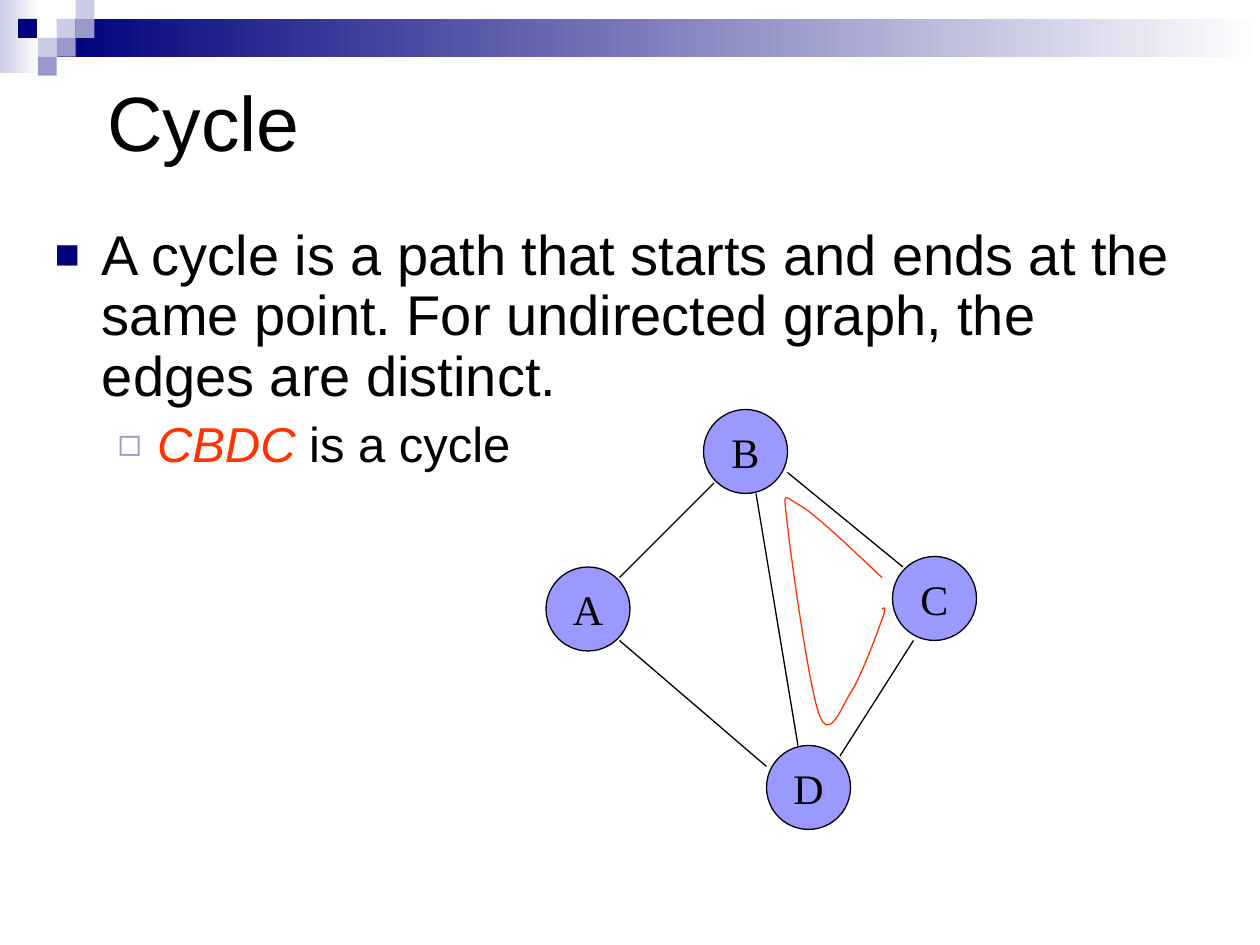
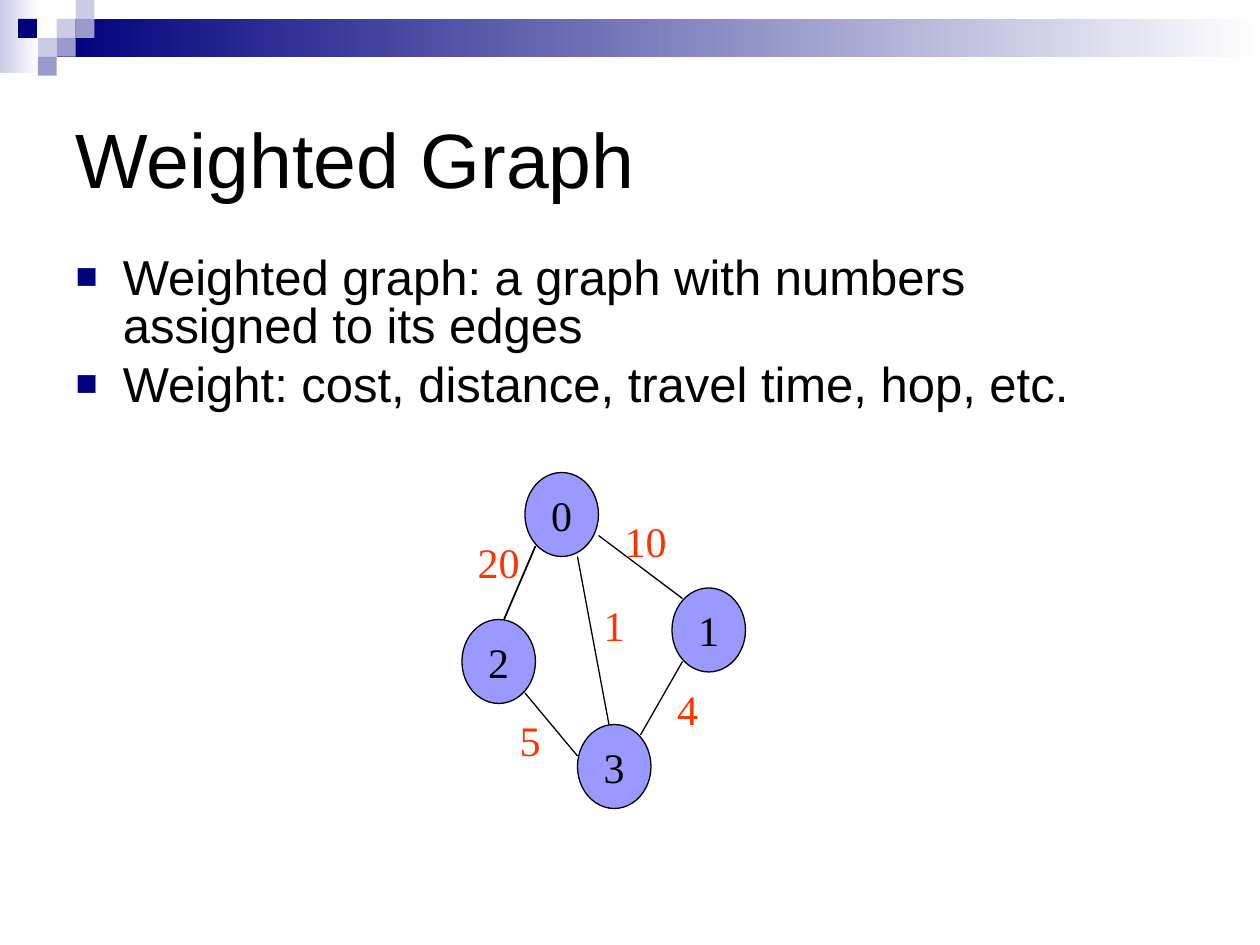
from lxml.etree import SubElement
from pptx import Presentation
from pptx.dml.color import RGBColor
from pptx.enum.shapes import MSO_CONNECTOR, MSO_SHAPE
from pptx.enum.text import MSO_ANCHOR, MSO_AUTO_SIZE, PP_ALIGN
from pptx.oxml.ns import qn
from pptx.util import Pt

COLORS = {
    "navy": "00007D",
    "medium": "9999CC",
    "light": "CCCCE6",
    "white": "FFFFFF",
    "black": "000000",
    "node": "9999FF",
    "accent": "FF3300",
}
RGB = {name: RGBColor.from_string(value) for name, value in COLORS.items()}
HEADING_FONT = "Arial"
GRAPH_FONT = "Times New Roman"

# Bullet per list level: character, colour, size in percent, left indent, hanging
BULLETS = [("■", "navy", 75, 27, 27), ("◻", "medium", 80, 58.5, 22.5)]

# Paragraphs: level, size, line spacing, space before, runs of (text, highlighted)
# Nodes and weights: label, left, top; edges: x1, y1, x2, y2, line width
SLIDES = [
    {
        "title": "Cycle",
        "title_box": (54, 24, 612, 90),
        "body_box": (24, 126, 660, 192),
        "paragraphs": [
            (0, 32, 0.9, 8, [("A cycle is a path that starts and ends at the same point. "
                              "For undirected graph, the edges are distinct.", False)]),
            (1, 28, 0.9, 7, [("CBDC", True), (" is a cycle", False)]),
        ],
        "node_size": (48, 48),
        "nodes": [("B", 402, 234), ("C", 510, 318), ("D", 438, 426), ("A", 312, 324)],
        "edges": [
            (408, 276, 354, 330, 0.75),
            (354, 366, 438, 438, 0.75),
            (480, 432, 522, 366, 0.75),
            (432, 282, 456, 426, 0.75),
            (450, 270, 516, 324, 0.75),
        ],
        "weights": [],
    },
    {
        "title": "Weighted Graph",
        "title_box": (36, 36, 648, 108),
        "body_box": (36, 144, 636, 102),
        "paragraphs": [
            (0, 28, 0.8, 7, [("Weighted graph: a graph with numbers assigned to its edges", False)]),
            (0, 28, 0.8, 7, [("Weight: cost, distance, travel time, hop, etc.", False)]),
        ],
        "node_size": (42, 48),
        "nodes": [("0", 300, 270), ("1", 384, 336), ("3", 330, 414), ("2", 264, 354)],
        "edges": [
            (306, 312, 288, 354, 1),
            (300, 396, 330, 432, 0.75),
            (342, 306, 390, 342, 0.75),
            (390, 378, 366, 420, 0.75),
            (330, 318, 348, 414, 0.75),
        ],
        "weights": [("20", 270, 306), ("10", 354, 294), ("1", 336, 342),
                    ("5", 288, 408), ("4", 378, 390)],
    },
]

# Cycle stroke: start, then two control points and an end for each curve
CYCLE_START = (504, 330)
CYCLE_CURVES = [
    (484.6, 311.8), (465.1, 293), (455.8, 288),
    (447.1, 283), (447.8, 280), (450, 300),
    (452.2, 320), (462.2, 391.7), (468, 408),
    (473.8, 424.1), (480.2, 405.4), (486, 396),
    (491.8, 387.4), (501.1, 362.2), (504, 354),
    (506.9, 346.3), (505.4, 347), (504, 348),
]

# Header: left, top, width, height, colour, colour at the right end of a gradient
UNIT = 10.8
HEADER_PARTS = [
    (0, 0, 22.3, 41.8, "light", "white"),
    (3 * UNIT, UNIT, 720 - 3 * UNIT, 2 * UNIT, "navy", "white"),
    (10.3, UNIT, UNIT, UNIT, "navy", None),
]
HEADER_SQUARES = [(3, 1, "light"), (4, 0, "light"), (4, 1, "medium"),
                  (2, 2, "light"), (3, 2, "medium"), (2, 3, "medium")]
HEADER_PARTS += [(column * UNIT, row * UNIT, UNIT, UNIT, color, None)
                 for column, row, color in HEADER_SQUARES]


def set_bullet(paragraph, level):
    character, color, percent, indent, hanging = BULLETS[level]
    paragraph.level = level
    properties = paragraph._p.get_or_add_pPr()
    properties.set("marL", str(Pt(indent)))
    properties.set("indent", str(-Pt(hanging)))
    bullet_color = SubElement(properties, qn("a:buClr"))
    SubElement(bullet_color, qn("a:srgbClr"), val=COLORS[color])
    SubElement(properties, qn("a:buSzPct"), val=str(percent * 1000))
    SubElement(properties, qn("a:buFont"), typeface=HEADING_FONT)
    SubElement(properties, qn("a:buChar"), char=character)


def set_label(shape, text, color):
    frame = shape.text_frame
    frame.word_wrap = False
    frame.auto_size = MSO_AUTO_SIZE.NONE
    frame.vertical_anchor = MSO_ANCHOR.MIDDLE
    paragraph = frame.paragraphs[0]
    paragraph.text = text
    paragraph.alignment = PP_ALIGN.CENTER
    paragraph.font.name = GRAPH_FONT
    paragraph.font.size = Pt(24)
    paragraph.font.color.rgb = RGB[color]


presentation = Presentation()
presentation.slide_width = Pt(720)
presentation.slide_height = Pt(540)
layout = presentation.slide_layouts[1]
slides = [presentation.slides.add_slide(layout) for _ in SLIDES]

# Header, moved to the slide master behind its placeholders
master_tree = presentation.slide_master.shapes.element
for index, (left, top, width, height, color, end_color) in enumerate(HEADER_PARTS):
    shape = slides[0].shapes.add_shape(
        MSO_SHAPE.RECTANGLE, Pt(left), Pt(top), Pt(width), Pt(height))
    shape.shadow.inherit = False
    shape.line.fill.background()
    if end_color:
        shape.fill.gradient()
        shape.fill.gradient_angle = 0
        for stop, name in zip(shape.fill.gradient_stops, (color, end_color)):
            stop.color.rgb = RGB[name]
    else:
        shape.fill.solid()
        shape.fill.fore_color.rgb = RGB[color]
    shape.element.nvSpPr.cNvPr.set("id", str(100 + index))
    master_tree.insert(2 + index, shape.element)

for slide, content in zip(slides, SLIDES):
    # Title and body
    title, body = slide.placeholders
    for placeholder, box in ((title, content["title_box"]), (body, content["body_box"])):
        placeholder.left, placeholder.top, placeholder.width, placeholder.height = map(Pt, box)
        placeholder.text_frame.auto_size = MSO_AUTO_SIZE.NONE
    title.text_frame.vertical_anchor = MSO_ANCHOR.MIDDLE
    paragraph = title.text_frame.paragraphs[0]
    paragraph.text = content["title"]
    paragraph.alignment = PP_ALIGN.LEFT
    paragraph.font.name = HEADING_FONT
    paragraph.font.size = Pt(44)
    paragraph.font.color.rgb = RGB["black"]

    frame = body.text_frame
    for index, (level, size, spacing, before, runs) in enumerate(content["paragraphs"]):
        paragraph = frame.add_paragraph() if index else frame.paragraphs[0]
        set_bullet(paragraph, level)
        paragraph.line_spacing = spacing
        paragraph.space_before = Pt(before)
        paragraph.font.name = HEADING_FONT
        paragraph.font.size = Pt(size)
        paragraph.font.color.rgb = RGB["black"]
        for text, highlighted in runs:
            run = paragraph.add_run()
            run.text = text
            if highlighted:
                run.font.italic = True
                run.font.color.rgb = RGB["accent"]

    # Graph nodes
    width, height = content["node_size"]
    for label, left, top in content["nodes"]:
        node = slide.shapes.add_shape(
            MSO_SHAPE.OVAL, Pt(left), Pt(top), Pt(width), Pt(height))
        node.shadow.inherit = False
        node.fill.solid()
        node.fill.fore_color.rgb = RGB["node"]
        node.line.color.rgb = RGB["black"]
        node.line.width = Pt(0.75)
        set_label(node, label, "black")

    # Graph edges
    for *ends, line_width in content["edges"]:
        edge = slide.shapes.add_connector(MSO_CONNECTOR.STRAIGHT, *map(Pt, ends))
        edge.line.color.rgb = RGB["black"]
        edge.line.width = Pt(line_width)
        SubElement(edge.element.spPr, qn("a:effectLst"))

    # Edge weights
    for label, left, top in content["weights"]:
        weight = slide.shapes.add_textbox(Pt(left), Pt(top), Pt(30), Pt(30))
        set_label(weight, label, "accent")

# Cycle stroke on the first slide
builder = slides[0].shapes.build_freeform(*map(Pt, CYCLE_START))
builder.add_line_segments([(Pt(x), Pt(y)) for x, y in CYCLE_CURVES], close=False)
cycle = builder.convert_to_shape()
cycle.shadow.inherit = False
cycle.fill.background()
cycle.line.color.rgb = RGB["accent"]
cycle.line.width = Pt(0.75)

# Each three straight segments become one Bézier curve
segments = list(cycle.element.iter(qn("a:lnTo")))
for first in range(0, len(segments), 3):
    curve = SubElement(segments[first].getparent(), qn("a:cubicBezTo"))
    for segment in segments[first:first + 3]:
        curve.append(segment[0])
        segment.getparent().remove(segment)

presentation.save("out.pptx")
